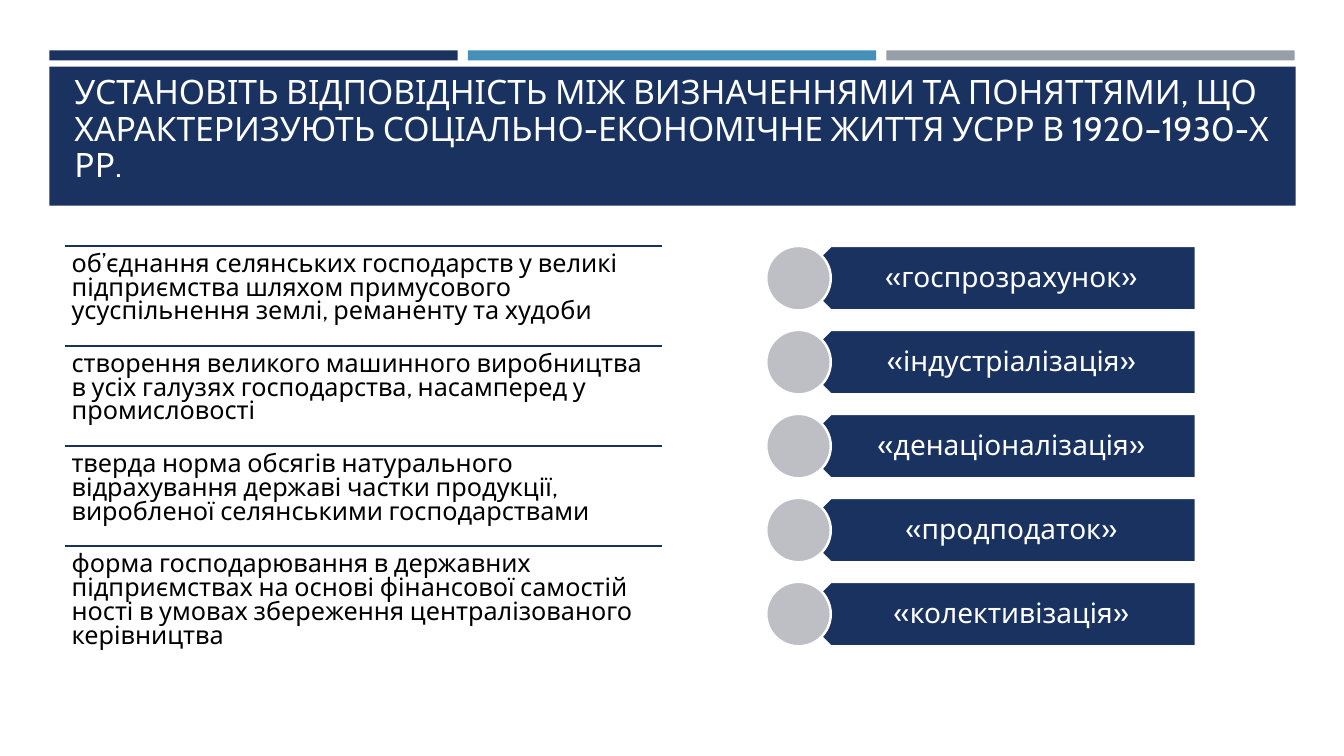
from dataclasses import dataclass
from pptx import Presentation
from pptx.dml.color import RGBColor as RGB
from pptx.enum.shapes import MSO_CONNECTOR as CONNECTOR, MSO_SHAPE as SHAPE
from pptx.enum.text import MSO_ANCHOR as ANCHOR, PP_ALIGN as ALIGN
from pptx.oxml.ns import qn
from pptx.util import Inches, Pt

TITLE = (
    "УСТАНОВІТЬ ВІДПОВІДНІСТЬ МІЖ ВИЗНАЧЕННЯМИ ТА ПОНЯТТЯМИ, "
    "ЩО ХАРАКТЕРИЗУЮТЬ СОЦІАЛЬНО-ЕКОНОМІЧНЕ ЖИТТЯ УСРР В 1920–1930-Х РР."
)
DEFINITIONS = [
    "об’єднання селянських господарств у великі підприємства шляхом "
    "примусового усуспільнення землі, реманенту та худоби",
    "створення великого машинного виробництва в усіх галузях господарства, "
    "насамперед у промисловості",
    "тверда норма обсягів натурального відрахування державі частки продукції, "
    "виробленої селянськими господарствами",
    "форма господарювання в державних підприємствах на основі фінансової "
    "самостій ності в умовах збереження централізованого керівництва",
]
CONCEPTS = [
    "«госпрозрахунок»",
    "«індустріалізація»",
    "«денаціоналізація»",
    "«продподаток»",
    "«колективізація»",
]


@dataclass(frozen=True)
class Theme:
    font: str = "Cabin"
    navy: str = "1A3260"
    blue: str = "4590B8"
    steel: str = "969FA7"
    dot: str = "BDBFC5"
    white: str = "FFFFFF"
    black: str = "000000"
    title: int = 24
    definition: int = 18
    concept: int = 20
    rule: float = 1.75


theme = Theme()
WIDTH, HEIGHT = 13.33, 7.5
MARGIN, BAND_WIDTH = 0.49, 12.36
STRIPE_WIDTH, STRIPE_PITCH = 4.05, 4.15
CONTENT_LEFT, CONTENT_TOP = 0.64, 2.44
DEFINITION_WIDTH, DEFINITION_PITCH = 5.93, 0.993
DOT_LEFT, DOT_SIZE, CONCEPT_PITCH = 7.6, 0.64, 0.833
TAG_LEFT, TAG_WIDTH = DOT_LEFT + DOT_SIZE / 2, 3.94
LABEL_INDENT = DOT_SIZE / 4

deck = Presentation()
deck.slide_width, deck.slide_height = Inches(WIDTH), Inches(HEIGHT)
slide = deck.slides.add_slide(deck.slide_layouts[6])


def add_block(kind, box, fill, outline=None, rotation=0):
    block = slide.shapes.add_shape(kind, *map(Inches, box))
    block.shadow.inherit = False
    block.rotation = rotation
    block.fill.solid()
    block.fill.fore_color.rgb = RGB.from_string(fill)
    if outline:
        block.line.color.rgb = RGB.from_string(outline)
        block.line.width = Pt(theme.rule)
    else:
        block.line.fill.background()


def add_words(words, box, size, color, insets, anchor, spacing, align=ALIGN.LEFT):
    frame = slide.shapes.add_textbox(*map(Inches, box)).text_frame
    left, top, right, bottom = map(Inches, insets)
    paragraph = frame.paragraphs[0]
    paragraph.text = words
    formats = [
        (frame, dict(word_wrap=True, vertical_anchor=anchor, margin_left=left,
                     margin_top=top, margin_right=right, margin_bottom=bottom)),
        (paragraph, dict(alignment=align, line_spacing=spacing)),
        (paragraph.runs[0].font, dict(name=theme.font, size=Pt(size))),
    ]
    for target, values in formats:
        for key, value in values.items():
            setattr(target, key, value)
    paragraph.runs[0].font.color.rgb = RGB.from_string(color)


def add_rule(left, top, width):
    ends = map(Inches, (left, top, left + width, top))
    rule = slide.shapes.add_connector(CONNECTOR.STRAIGHT, *ends)
    rule.line.color.rgb = RGB.from_string(theme.navy)
    rule.line.width = Pt(theme.rule)
    properties = rule.element.spPr
    properties.append(properties.makeelement(qn("a:effectLst"), {}))


for column, color in enumerate((theme.navy, theme.blue, theme.steel)):
    stripe_left = MARGIN + column * STRIPE_PITCH
    add_block(SHAPE.RECTANGLE, (stripe_left, 0.5, STRIPE_WIDTH, 0.1), color)
add_block(SHAPE.RECTANGLE, (MARGIN, 0.66, BAND_WIDTH, 1.38), theme.navy)
add_words(TITLE, (CONTENT_LEFT, 0.8, 12.06, 1.08), theme.title, theme.white,
          (0.1, 0.05, 0.1, 0.05), ANCHOR.BOTTOM, 0.9)

for row, definition in enumerate(DEFINITIONS):
    top = CONTENT_TOP + row * DEFINITION_PITCH
    add_rule(CONTENT_LEFT, top, DEFINITION_WIDTH)
    add_words(definition, (CONTENT_LEFT, top, DEFINITION_WIDTH, DEFINITION_PITCH),
              theme.definition, theme.black, (0.07,) * 4, ANCHOR.TOP, 0.79)

for row, concept in enumerate(CONCEPTS):
    top = CONTENT_TOP + row * CONCEPT_PITCH
    add_block(SHAPE.PENTAGON, (TAG_LEFT, top, TAG_WIDTH, DOT_SIZE),
              theme.navy, theme.white, 180)
    label = (TAG_LEFT + LABEL_INDENT, top, TAG_WIDTH - LABEL_INDENT, DOT_SIZE)
    add_words(concept, label, theme.concept, theme.white,
              (0.28, 0.08, 0.16, 0.08), ANCHOR.MIDDLE, 0.9, ALIGN.CENTER)
    add_block(SHAPE.OVAL, (DOT_LEFT, top, DOT_SIZE, DOT_SIZE), theme.dot, theme.white)

deck.save("out.pptx")
